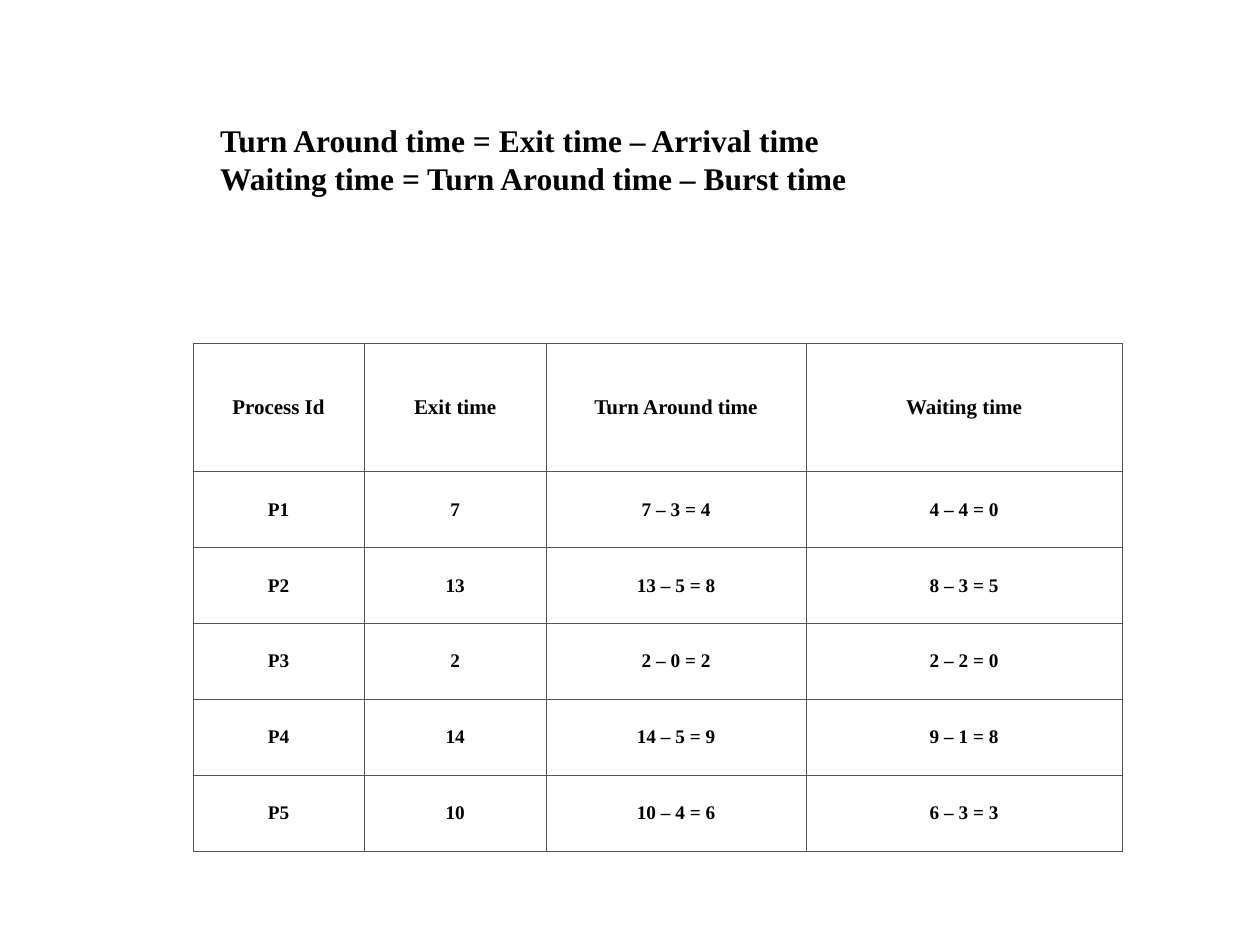
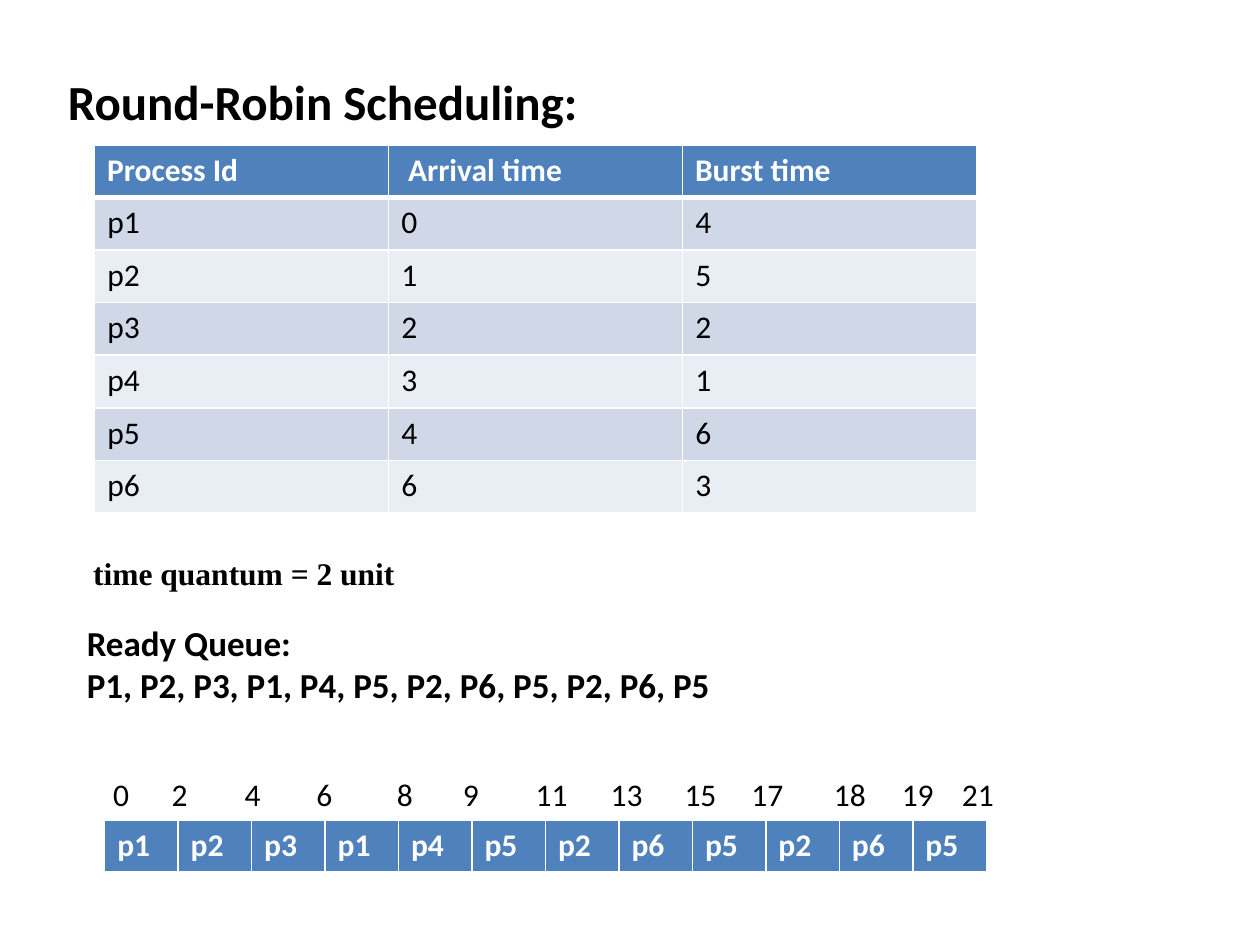
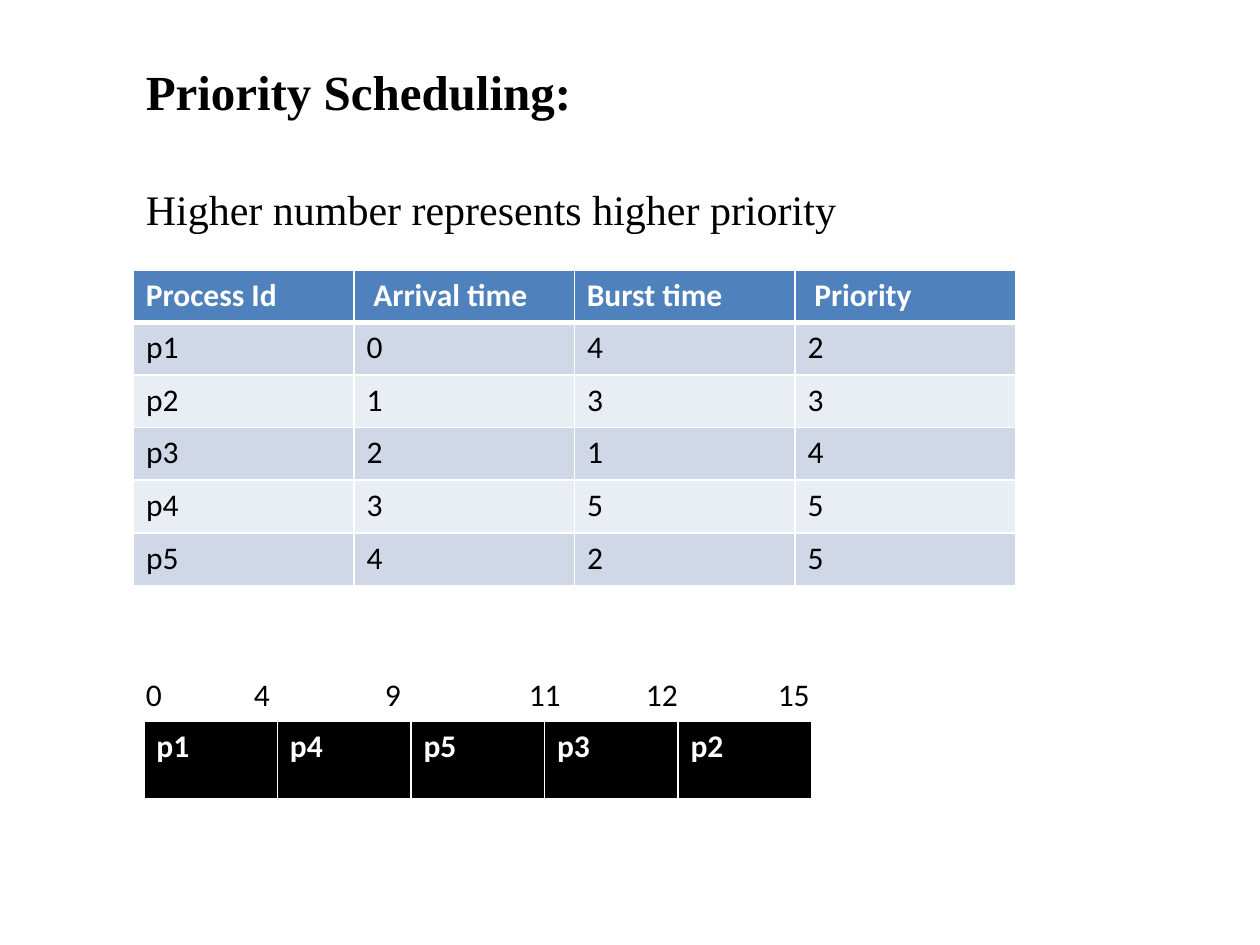
from lxml.etree import SubElement
from pptx import Presentation
from pptx.dml.color import RGBColor as Rgb
from pptx.enum.text import MSO_ANCHOR as Anchor, PP_ALIGN as Align
from pptx.oxml import parse_xml
from pptx.oxml.ns import nsdecls, qn
from pptx.util import Cm, Pt

COLORS = {
    "ink": "000000", "paper": "FFFFFF", "grid": "515455",
    "header": "4F81BD", "odd_row": "D0D8E8", "even_row": "E9EDF4",
}
SANS, SERIF = "Calibri", "Times New Roman"
ROW_HEIGHT = 1.06
SCHEDULE_WIDTH = 17.78
HEADING_INDENTS = {"Arrival time": 0.14, "Priority": 0.14}


def color(name):
    """Look up a palette colour."""
    return Rgb.from_string(COLORS[name])


def style_runs(paragraph, size, font, ink="ink", bold=False):
    """Format every run of a paragraph."""
    for run in paragraph.runs:
        run.font.size, run.font.name, run.font.bold = Pt(size), font, bold
        run.font.color.rgb = color(ink)


def add_text(slide, box, lines, size, font, bold=False):
    """Add a wrapped text box and return its paragraphs."""
    frame = slide.shapes.add_textbox(*map(Cm, box)).text_frame
    frame.word_wrap = True
    frame.text = "\n".join(lines)
    for paragraph in frame.paragraphs:
        style_runs(paragraph, size, font, bold=bold)
    return frame.paragraphs


def set_borders(cell, ink, width, bottom_width):
    """Draw the four borders of a cell."""
    properties = cell._tc.get_or_add_tcPr()
    for position, side in enumerate("LRTB"):
        points = bottom_width if side == "B" else width
        properties.insert(position, parse_xml(
            f'<a:ln{side} {nsdecls("a")} w="{Pt(points)}"><a:solidFill>'
            f'<a:srgbClr val="{COLORS[ink]}"/></a:solidFill></a:ln{side}>'))


def style_cell(cell, fill, size, font, ink, bold, border, width, bottom_width):
    """Give a cell its fill, text format and borders."""
    cell.fill.solid()
    cell.fill.fore_color.rgb = color(fill)
    style_runs(cell.text_frame.paragraphs[0], size, font, ink, bold)
    set_borders(cell, border, width, bottom_width)


def add_grid(slide, corner, rows, widths, heights):
    """Add a table with its wording and return it."""
    box = (*corner, sum(widths), sum(heights))
    grid = slide.shapes.add_table(len(rows), len(widths), *map(Cm, box)).table
    grid.first_row = grid.horz_banding = False
    for column, width in zip(grid.columns, widths):
        column.width = Cm(width)
    for line, height, words in zip(grid.rows, heights, rows):
        line.height = Cm(height)
        for cell, word in zip(line.cells, words):
            cell.text = word
    return grid


def add_results(slide, corner, rows):
    """Add the outlined table of turn around and waiting times."""
    heights = [2.58] + [1.53] * (len(rows) - 1)
    grid = add_grid(slide, corner, rows, [3.45, 3.67, 5.24, 6.37], heights)
    for index, line in enumerate(grid.rows):
        for cell in line.cells:
            style_cell(cell, "paper", 11 if index else 12, SERIF, "ink", True,
                       "grid", 0.6, 0.6)
            cell.vertical_anchor = Anchor.MIDDLE
            cell.margin_left = cell.margin_right = Cm(0.2)
            cell.margin_top = cell.margin_bottom = Cm(0.18)
            cell.text_frame.paragraphs[0].alignment = Align.CENTER


def add_processes(slide, corner, rows):
    """Add the banded table of processes."""
    count = len(rows[0])
    grid = add_grid(slide, corner, rows, [SCHEDULE_WIDTH / count] * count,
                    [ROW_HEIGHT] * len(rows))
    for index, line in enumerate(grid.rows):
        band = "odd_row" if index % 2 else "even_row"
        for cell in line.cells:
            if index:
                style_cell(cell, band, 18, SANS, "ink", False, "paper", 1, 1)
            else:
                style_cell(cell, "header", 18, SANS, "paper", True, "paper", 1, 3)
                cell.margin_left = Cm(0.25 + HEADING_INDENTS.get(cell.text, 0))


def add_gantt(slide, box, processes, fill):
    """Add a one-row Gantt chart of equal cells."""
    left, top, width, height = box
    count = len(processes)
    grid = add_grid(slide, (left, top), [processes], [width / count] * count, [height])
    for cell in grid.rows[0].cells:
        style_cell(cell, fill, 18, SANS, "paper", True, "paper", 1, 3)


def add_time_scale(slide, box, times, stops):
    """Add the time marks above a Gantt chart, set on tab stops."""
    scale, = add_text(slide, box, ["\t".join(times)], 18, SANS)
    tabs = SubElement(scale._p.get_or_add_pPr(), qn("a:tabLst"))
    for stop in stops:
        SubElement(tabs, qn("a:tab"), pos=str(Cm(stop)), algn="l")


def build_times(slide):
    """Build the slide with the time formulas and their results."""
    add_results(slide, (3.89, 6.93), [
        ["Process Id", "Exit time", "Turn Around time", "Waiting time"],
        ["P1", "7", "7 – 3 = 4", "4 – 4 = 0"],
        ["P2", "13", "13 – 5 = 8", "8 – 3 = 5"],
        ["P3", "2", "2 – 0 = 2", "2 – 2 = 0"],
        ["P4", "14", "14 – 5 = 9", "9 – 1 = 8"],
        ["P5", "10", "10 – 4 = 6", "6 – 3 = 3"],
    ])
    add_text(slide, (4.19, 2.31, 18.59, 4.09),
             ["Turn Around time = Exit time – Arrival time",
              "Waiting time = Turn Around time – Burst time"], 18, SERIF, True)


def build_round_robin(slide):
    """Build the round-robin slide."""
    add_text(slide, (1.12, 1.32, 20, 1.5), ["Round-Robin Scheduling:"], 28, SANS, True)
    add_processes(slide, (1.91, 2.92), [
        ["Process Id", "Arrival time", "Burst time"],
        ["p1", "0", "4"],
        ["p2", "1", "5"],
        ["p3", "2", "2"],
        ["p4", "3", "1"],
        ["p5", "4", "6"],
        ["p6", "6", "3"],
    ])
    add_text(slide, (1.63, 11.05, 20, 0.95), ["time quantum = 2 unit"], 18, SERIF, True)
    add_text(slide, (1.5, 12.4, 22, 1.83),
             ["Ready Queue:", "P1, P2, P3, P1, P4, P5, P2, P6, P5, P2, P6, P5"],
             20, SANS, True)
    add_gantt(slide, (2.11, 16.54, SCHEDULE_WIDTH, ROW_HEIGHT),
              "p1 p2 p3 p1 p4 p5 p2 p6 p5 p2 p6 p5".split(), "header")
    add_time_scale(slide, (2.03, 15.49, 18.49, 1.02),
                   "0 2 4 6 8 9 11 13 15 17 18 19 21".split(),
                   [1.18, 2.65, 4.1, 5.72, 7.05, 8.52, 10.03, 11.52, 12.87,
                    14.53, 15.9, 17.11])


def build_priority(slide):
    """Build the priority scheduling slide."""
    add_processes(slide, (2.69, 5.44), [
        ["Process Id", "Arrival time", "Burst time", "Priority"],
        ["p1", "0", "4", "2"],
        ["p2", "1", "3", "3"],
        ["p3", "2", "1", "4"],
        ["p4", "3", "5", "5"],
        ["p5", "4", "2", "5"],
    ])
    title, rule = add_text(
        slide, (2.69, 1.12, 18.64, 3.68),
        ["Priority Scheduling:", "Higher number represents higher priority"],
        28, SERIF, True)
    style_runs(rule, 24, SERIF)
    rule.space_before = Pt(36)
    add_gantt(slide, (2.9, 14.53, 13.46, 1.6), "p1 p4 p5 p3 p2".split(), "ink")
    add_time_scale(slide, (2.69, 13.49, 14.68, 1.02), "0 4 9 11 12 15".split(),
                   [2.18, 4.82, 7.72, 10.08, 12.74])


def main():
    """Build and save the presentation."""
    deck = Presentation()
    deck.slide_width, deck.slide_height = Cm(25.4), Cm(19.05)
    for build in (build_times, build_round_robin, build_priority):
        build(deck.slides.add_slide(deck.slide_layouts[6]))
    deck.save("out.pptx")


if __name__ == "__main__":
    main()
